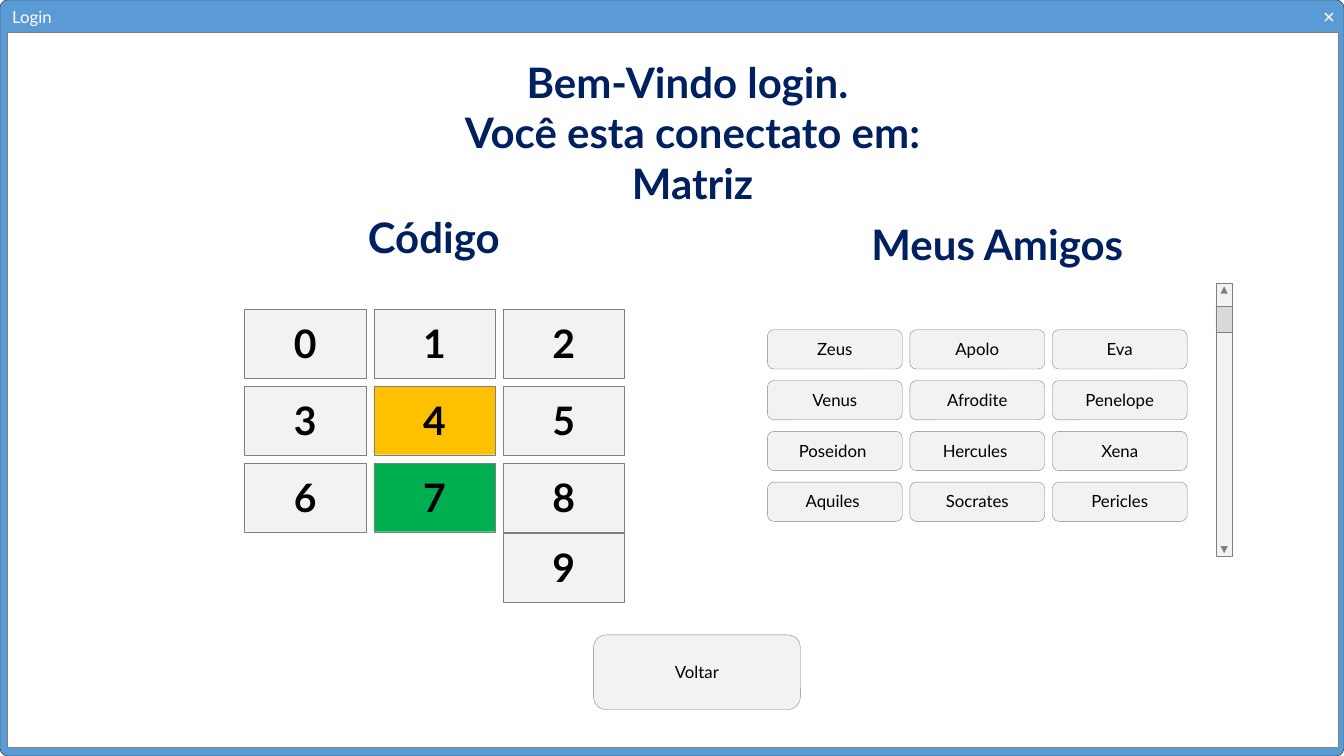
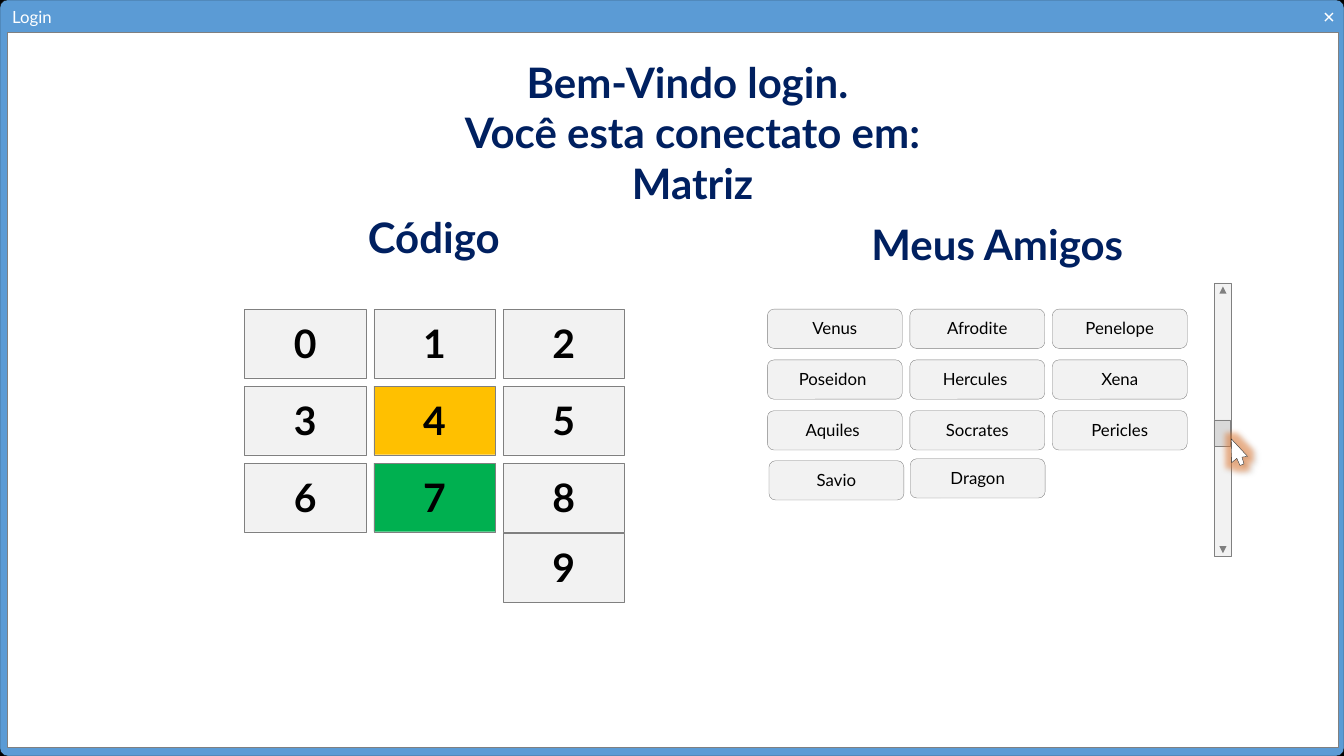
import pptx
import pptx.util
import pptx.dml.color
import pptx.enum.shapes
import pptx.enum.text
import pptx.oxml
import pptx.oxml.ns

Cm = pptx.util.Cm
Pt = pptx.util.Pt
RGB = pptx.dml.color.RGBColor
SHAPE = pptx.enum.shapes.MSO_SHAPE
ALIGN = pptx.enum.text.PP_ALIGN
ANCHOR = pptx.enum.text.MSO_ANCHOR

FONT = "Lato"
WIDTH, HEIGHT = 33.87, 19.05
BLUE = RGB(0x5B, 0x9B, 0xD5)
NAVY = RGB(0x00, 0x20, 0x60)
WHITE = RGB(0xFF, 0xFF, 0xFF)
BLACK = RGB(0x00, 0x00, 0x00)
INK = RGB(0x0D, 0x0D, 0x0D)
CURSOR_EDGE = RGB(0x26, 0x26, 0x26)
GREY = RGB(0x80, 0x80, 0x80)
LIGHT = RGB(0xF2, 0xF2, 0xF2)
THUMB = RGB(0xD9, 0xD9, 0xD9)
AMBER = RGB(0xFF, 0xC0, 0x00)
GREEN = RGB(0x00, 0xB0, 0x50)

BAR_TEXT = {"size": Pt(12), "color": WHITE}
HEADING = {"size": Pt(30), "bold": True, "color": NAVY}
KEY_TEXT = {"size": Pt(28), "bold": True, "color": BLACK}
BUTTON_TEXT = {"size": Pt(12), "color": BLACK}

BAR_FRAME = {"vertical_anchor": ANCHOR.TOP}
HEADING_FRAME = {"vertical_anchor": ANCHOR.MIDDLE,
                 "margin_top": Cm(0.05), "margin_bottom": Cm(0.08)}
BUTTON_FRAME = {"vertical_anchor": ANCHOR.MIDDLE,
                "margin_top": 0, "margin_bottom": Cm(0.03)}

KEY_LEFT, KEY_TOP, KEY_W, KEY_H = 6.16, 7.79, 3.06, 1.73
KEY_STEP_X, KEY_STEP_Y = 3.26, 1.94
KEY_FILLS = {4: AMBER, 7: GREEN}
FRIEND_LEFT, FRIEND_W, FRIEND_H = 19.34, 3.4, 0.99
FRIEND_STEP_X, FRIEND_STEP_Y = 3.59, 1.28
FRIENDS = [
    ("Zeus", "Apolo", "Eva"),
    ("Venus", "Afrodite", "Penelope"),
    ("Poseidon ", "Hercules ", "Xena"),
    ("Aquiles ", "Socrates", "Pericles"),
]
CURSOR = [(31.03, 11.06), (31.44, 11.5), (31.3, 11.52), (31.35, 11.69),
          (31.25, 11.73), (31.17, 11.55), (31.04, 11.66)]
CURSOR_EFFECTS = (
    '<a:effectLst %s>'
    '<a:glow rad="101600"><a:srgbClr val="ED7D31"><a:alpha val="50000"/></a:srgbClr></a:glow>'
    '<a:outerShdw blurRad="25400" dist="25400" dir="2040000">'
    '<a:srgbClr val="000000"><a:alpha val="20000"/></a:srgbClr></a:outerShdw>'
    '</a:effectLst>' % pptx.oxml.ns.nsdecls("a"))


class Screen:
    """A login window drawn on one slide."""

    def __init__(self, prs, background):
        s = prs.slides.add_slide(prs.slide_layouts[6])
        s.background.fill.solid()
        s.background.fill.fore_color.rgb = background
        self.shapes = s.shapes

    def paint(self, sp, fill, line=GREY):
        sp.shadow.inherit = False
        sp.fill.solid()
        sp.fill.fore_color.rgb = fill
        if line is None:
            sp.line.fill.background()
        else:
            sp.line.color.rgb = line
            sp.line.width = Pt(0.25)

    def shape(self, kind, x, y, w, h, fill, line=GREY):
        sp = self.shapes.add_shape(kind, Cm(x), Cm(y), Cm(w), Cm(h))
        self.paint(sp, fill, line)
        return sp

    def text(self, sp, lines, style, frame, align=ALIGN.CENTER):
        tf = sp.text_frame
        tf.word_wrap = True
        for name, value in frame.items():
            setattr(tf, name, value)
        for i, line in enumerate(lines):
            p = tf.add_paragraph() if i else tf.paragraphs[0]
            p.alignment = align
            r = p.add_run()
            r.text = line
            r.font.name = FONT
            for name, value in style.items():
                if name == "color":
                    r.font.color.rgb = value
                else:
                    setattr(r.font, name, value)

    def heading(self, lines, x, y, w, h):
        sp = self.shapes.add_textbox(Cm(x), Cm(y), Cm(w), Cm(h))
        self.text(sp, lines, HEADING, HEADING_FRAME)

    def line(self, x1, y1, x2, y2):
        c = self.shapes.add_connector(pptx.enum.shapes.MSO_CONNECTOR.STRAIGHT,
                                      Cm(x1), Cm(y1), Cm(x2), Cm(y2))
        c.line.color.rgb = WHITE
        c.line.width = Pt(1)
        c._element.spPr.append(pptx.oxml.parse_xml(
            "<a:effectLst %s/>" % pptx.oxml.ns.nsdecls("a")))

    def window(self, title):
        frame = self.shape(SHAPE.ROUNDED_RECTANGLE, 0, 0, WIDTH, HEIGHT, BLUE, INK)
        frame.adjustments[0] = 0.01
        self.text(frame, [title], BAR_TEXT, BAR_FRAME, ALIGN.LEFT)
        self.shape(SHAPE.RECTANGLE, 0.19, 0.82, 33.53, 18.01, WHITE)
        left, right, top, bottom = 33.39, 33.59, 0.33, 0.53
        self.line(left, top, right, bottom)
        self.line(right, top, left, bottom)

    def key(self, digit, x, y):
        sp = self.shape(SHAPE.RECTANGLE, x, y, KEY_W, KEY_H,
                        KEY_FILLS.get(digit, LIGHT))
        self.text(sp, [str(digit)], KEY_TEXT, BUTTON_FRAME)

    def keypad(self):
        for digit in range(9):
            row, col = divmod(digit, 3)
            self.key(digit, KEY_LEFT + col * KEY_STEP_X, KEY_TOP + row * KEY_STEP_Y)
        self.key(9, KEY_LEFT + 2 * KEY_STEP_X, 13.44)

    def button(self, label, x, y, w=FRIEND_W, h=FRIEND_H):
        sp = self.shape(SHAPE.ROUNDED_RECTANGLE, x, y, w, h, LIGHT)
        self.text(sp, [label], BUTTON_TEXT, BUTTON_FRAME)

    def friends(self, rows, top):
        for i, row in enumerate(rows):
            for j, name in enumerate(row):
                self.button(name, FRIEND_LEFT + j * FRIEND_STEP_X,
                            top + i * FRIEND_STEP_Y)

    def scrollbar(self, x, thumb_x, thumb_y):
        self.shape(SHAPE.RECTANGLE, x, 7.13, 0.42, 6.89, LIGHT)
        self.shape(SHAPE.RECTANGLE, thumb_x, thumb_y, 0.42, 0.66, THUMB)
        for y, rotation in ((7.22, 0), (13.76, 180)):
            arrow = self.shape(SHAPE.ISOSCELES_TRIANGLE, x + 0.12, y, 0.18, 0.18,
                               GREY, None)
            arrow.rotation = rotation

    def cursor(self):
        points = [(Cm(x), Cm(y)) for x, y in CURSOR]
        outline = self.shapes.build_freeform(*points[0])
        outline.add_line_segments(points[1:], close=True)
        sp = outline.convert_to_shape()
        self.paint(sp, WHITE, CURSOR_EDGE)
        spPr = sp._element.spPr
        spPr.replace(spPr.find(pptx.oxml.ns.qn("a:effectLst")),
                     pptx.oxml.parse_xml(CURSOR_EFFECTS))

    def login(self):
        """Draw the parts that both screens share."""
        self.window("Login")
        self.heading(["Bem-Vindo login. ", "Você esta conectato em:", "Matriz"],
                     9.3, 1.35, 16.31, 3.99)
        self.heading(["Código"], 6.91, 5.26, 8.05, 1.42)
        self.heading(["Meus Amigos"], 21.11, 5.44, 8.05, 1.42)
        self.keypad()


def main():
    prs = pptx.Presentation()
    prs.slide_width, prs.slide_height = Cm(WIDTH), Cm(HEIGHT)

    start = Screen(prs, WHITE)
    start.login()
    start.friends(FRIENDS, 8.31)
    start.scrollbar(30.64, 30.64, 7.72)
    start.button("Voltar", 14.96, 16.0, 5.21, 1.88)

    scrolled = Screen(prs, BLACK)
    scrolled.login()
    scrolled.friends(FRIENDS[1:], 7.79)
    scrolled.button("Savio", 19.38, 11.61)
    scrolled.button("Dragon", 22.94, 11.56)
    scrolled.scrollbar(30.61, 30.59, 10.58)
    scrolled.cursor()

    prs.save("out.pptx")


if __name__ == "__main__":
    main()
